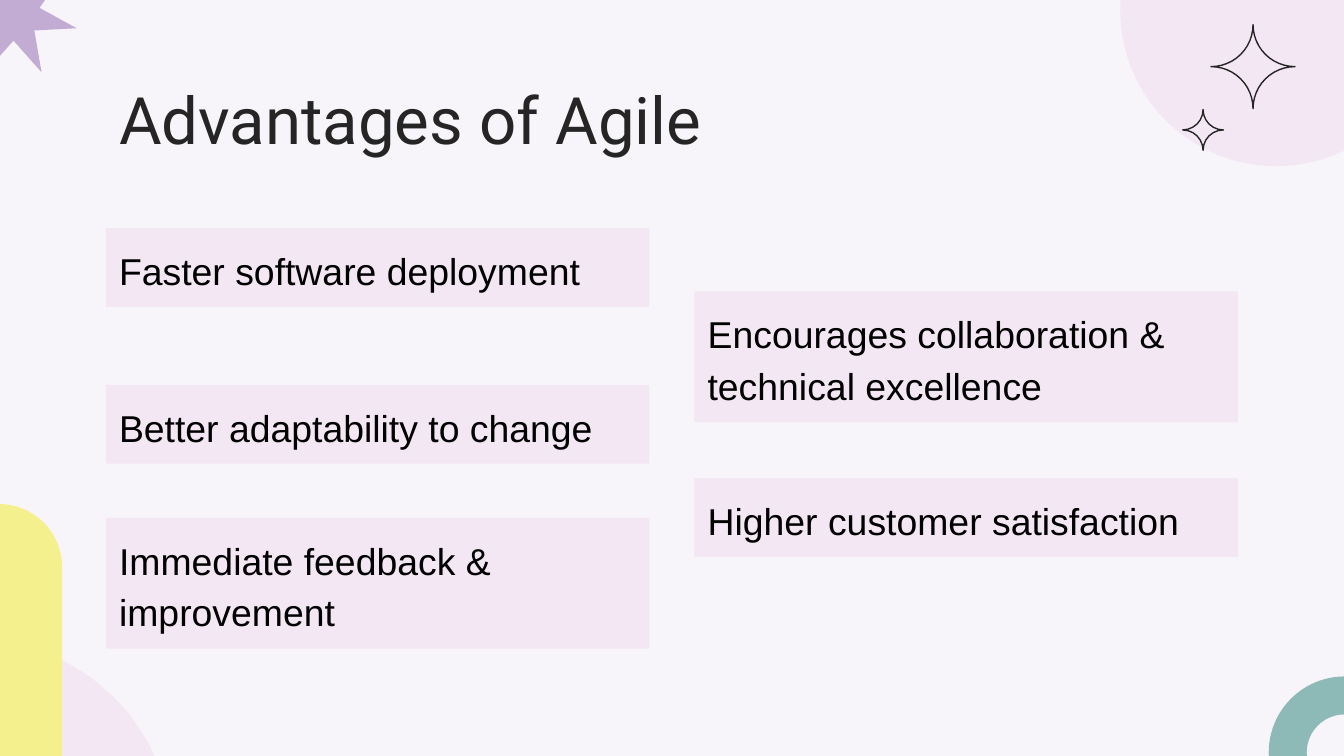
from pptx import Presentation
from pptx.dml.color import RGBColor
from pptx.enum.shapes import MSO_SHAPE as Preset
from pptx.enum.text import MSO_ANCHOR as Anchor, MSO_AUTO_SIZE as AutoSize, PP_ALIGN as Align
from pptx.util import Pt

BACKGROUND, PINK, YELLOW = "F8F5FA", "F3E7F3", "F4F08D"
PURPLE, TEAL, INK, BLACK = "C2ACD3", "8DBAB7", "252525", "000000"


def color(value):
    return RGBColor.from_string(value)


class AgileSlide:
    inset = 7.2
    line_width = 0.75

    def __init__(self, presentation):
        self.slide = presentation.slides.add_slide(presentation.slide_layouts[6])
        fill = self.slide.background.fill
        fill.solid()
        fill.fore_color.rgb = color(BACKGROUND)

    def shape(self, preset, left, top, width, height, fill=None, line=None, adjustments=()):
        shape = self.slide.shapes.add_shape(preset, Pt(left), Pt(top), Pt(width), Pt(height))
        shape.shadow.inherit = False
        for index, value in enumerate(adjustments):
            shape.adjustments[index] = value
        if fill:
            shape.fill.solid()
            shape.fill.fore_color.rgb = color(fill)
        else:
            shape.fill.background()
        if line:
            shape.line.color.rgb = color(line)
            shape.line.width = Pt(self.line_width)
        else:
            shape.line.fill.background()
        return shape

    def set_text(self, shape, text, font, size, ink, spacing=1.0):
        frame = shape.text_frame
        frame.text = text
        frame.word_wrap = True
        frame.vertical_anchor = Anchor.TOP
        frame.margin_left = frame.margin_right = Pt(self.inset)
        frame.margin_top = frame.margin_bottom = Pt(self.inset)
        paragraph = frame.paragraphs[0]
        paragraph.alignment = Align.LEFT
        paragraph.line_spacing = spacing
        run_font = paragraph.runs[0].font
        run_font.name = font
        run_font.size = Pt(size)
        run_font.color.rgb = color(ink)

    def title(self, text, left, top, width, height):
        box = self.slide.shapes.add_textbox(Pt(left), Pt(top), Pt(width), Pt(height))
        self.set_text(box, text, "Roboto", 35, INK)

    def card(self, text, left, top, width, height):
        card = self.shape(Preset.RECTANGLE, left, top, width, height, PINK)
        self.set_text(card, text, "Arial", 20, BLACK, 1.15)
        card.text_frame.auto_size = AutoSize.SHAPE_TO_FIT_TEXT

    def sparkle(self, left, top, size):
        self.shape(Preset.PLAQUE, left, top, size, size, line=INK, adjustments=[0.5])


def main():
    presentation = Presentation()
    presentation.slide_width, presentation.slide_height = Pt(720), Pt(405)
    page = AgileSlide(presentation)

    # Corner decorations
    page.shape(Preset.OVAL, 600.5, -77.6, 166.3, 166.3, PINK, PINK)
    page.shape(Preset.OVAL, -121.7, 342.7, 213.8, 213.8, PINK, PINK)
    page.shape(Preset.ROUND_2_SAME_RECTANGLE, -34.4, 270, 67.7, 135, YELLOW, adjustments=[0.5, 0])
    page.shape(Preset.STAR_7_POINT, -26.6, -27.4, 67.7, 66.2, PURPLE,
               adjustments=[0.206, 1.026, 1.052])
    page.shape(Preset.DONUT, 679.7, 362.4, 81.4, 81.4, TEAL, adjustments=[0.25])

    # Title
    page.title("Advantages of Agile", 56.7, 35.3, 607, 45.4)

    # Advantage cards in two columns
    card_width, one_line, two_lines = 291.2, 42.3, 70.2
    columns = {
        56.7: [
            ("Faster software deployment", 122.2, one_line),
            ("Better adaptability to change", 206.2, one_line),
            ("Immediate feedback & improvement", 277.3, two_lines),
        ],
        372: [
            ("Encourages collaboration & technical excellence", 156.1, two_lines),
            ("Higher customer satisfaction", 256.1, one_line),
        ],
    }
    for left, cards in columns.items():
        for text, top, height in cards:
            page.card(text, left, top, card_width, height)

    # Sparkles
    page.sparkle(648.8, 13.2, 45)
    page.sparkle(633.6, 58.7, 21.8)

    presentation.save("out.pptx")


if __name__ == "__main__":
    main()
